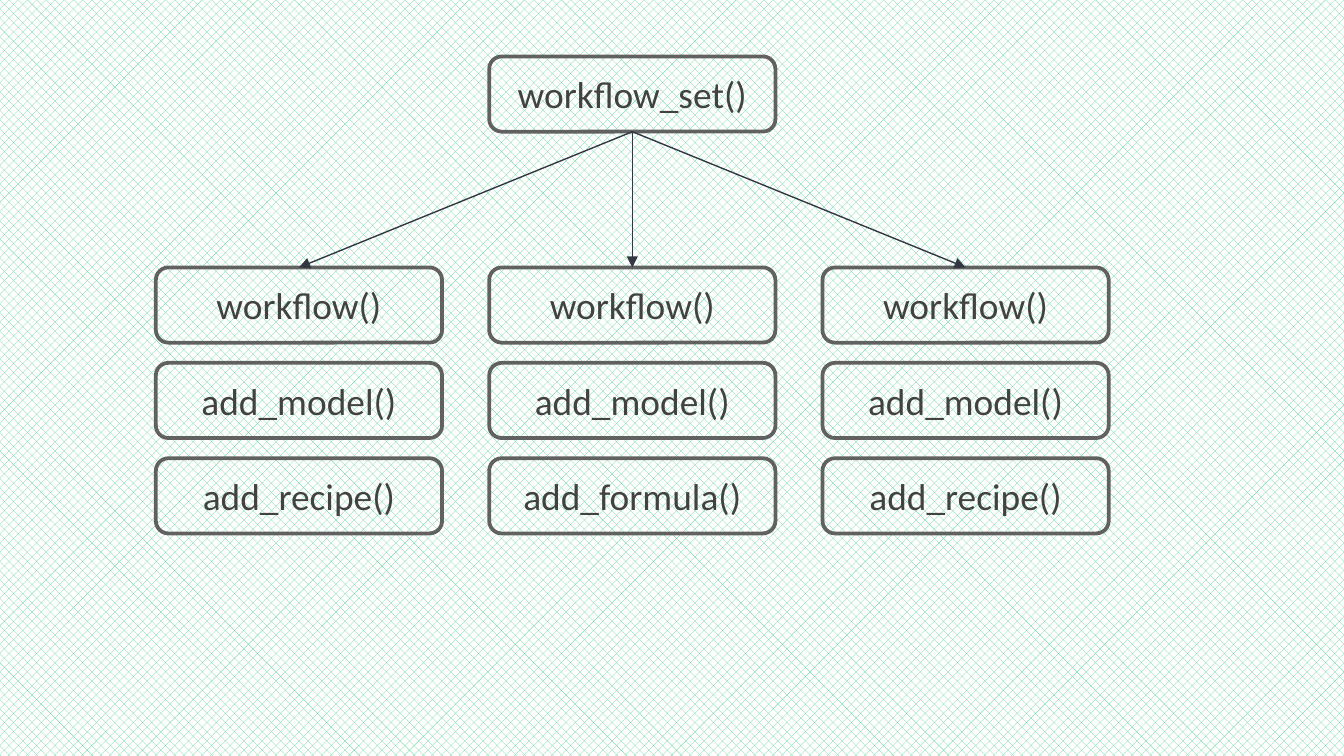
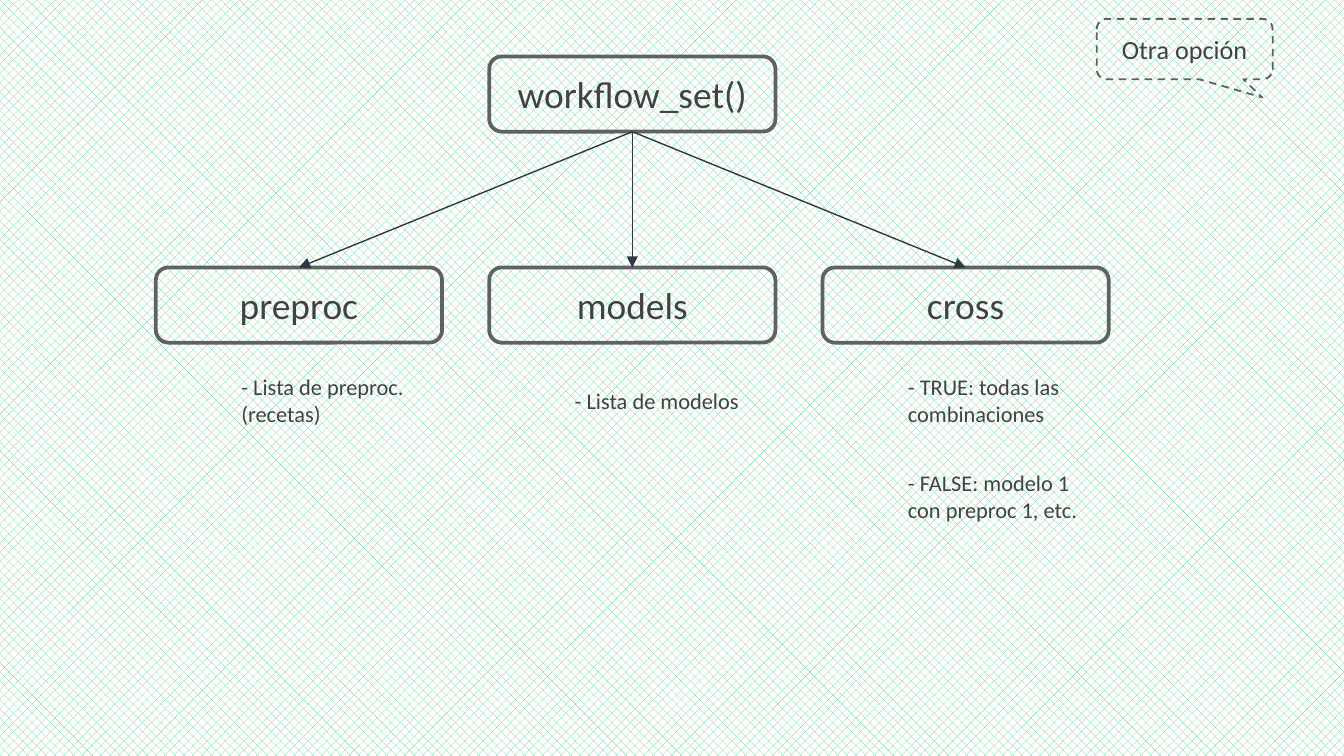
from dataclasses import dataclass

from lxml import etree
from pptx import Presentation
from pptx.dml.color import RGBColor
from pptx.enum.dml import MSO_LINE, MSO_PATTERN
from pptx.enum.shapes import MSO_CONNECTOR, MSO_SHAPE
from pptx.enum.text import MSO_ANCHOR, PP_ALIGN
from pptx.oxml.ns import qn
from pptx.util import Inches, Pt

ROUNDED = MSO_SHAPE.ROUNDED_RECTANGLE
CALLOUT = MSO_SHAPE.ROUNDED_RECTANGULAR_CALLOUT
STRAIGHT = MSO_CONNECTOR.STRAIGHT
HATCH = MSO_PATTERN.PERCENT_50
DASH = MSO_LINE.DASH
CENTER = PP_ALIGN.CENTER
LEFT = PP_ALIGN.LEFT
MIDDLE = MSO_ANCHOR.MIDDLE
TOP_SITE, BOTTOM_SITE = 0, 2
BLANK_LAYOUT = 6


@dataclass(frozen=True)
class Theme:
    font: str = "Calibri"
    text: RGBColor = RGBColor(0x42, 0x42, 0x42)
    border: RGBColor = RGBColor(0x61, 0x61, 0x61)
    arrow: RGBColor = RGBColor(0x33, 0x36, 0x43)
    hatch: RGBColor = RGBColor(0x63, 0xD2, 0x97)
    paper: RGBColor = RGBColor(0xFF, 0xFF, 0xFF)
    box_size: int = 20
    callout_size: int = 14
    note_size: int = 12
    box_line: float = 2
    callout_line: float = 1
    arrow_line: float = 0.75


THEME = Theme()
SLIDE_WIDTH = Inches(10)
SLIDE_HEIGHT = SLIDE_WIDTH * 9 // 16
BOX_WIDTH, BOX_HEIGHT = 2.13, 0.56
COLUMN_LEFT, COLUMN_STEP = 1.16, 2.48
ROW_TOP, ROW_STEP = 1.99, 0.71
ROOT_TOP = 0.42
NOTE_INDENT = 0.51

WORKFLOW_COLUMNS = [
    ["workflow()", "add_model()", "add_recipe()"],
    ["workflow()", "add_model()", "add_formula()"],
    ["workflow()", "add_model()", "add_recipe()"],
]
ARGUMENT_COLUMNS = [
    ("preproc", ["- Lista de preproc. (recetas)"]),
    ("models", ["- Lista de modelos"]),
    ("cross", ["- TRUE: todas las combinaciones",
               "- FALSE: modelo 1 con preproc 1, etc."]),
]


def set_attributes(target, values):
    for name, value in values.items():
        setattr(target, name, value)


def column_left(column):
    return COLUMN_LEFT + column * COLUMN_STEP


def row_top(row):
    return ROW_TOP + row * ROW_STEP


def add_slide(presentation):
    slide = presentation.slides.add_slide(presentation.slide_layouts[BLANK_LAYOUT])
    fill = slide.background.fill
    fill.patterned()
    fill.pattern = HATCH
    fill.fore_color.rgb = THEME.hatch
    fill.back_color.rgb = THEME.paper
    return slide


def add_label(slide, kind, bounds, text, size, line_width=None, alignment=CENTER):
    shape = slide.shapes.add_shape(kind, *map(Inches, bounds))
    shape.shadow.inherit = False
    shape.fill.background()
    if line_width is None:
        shape.line.fill.background()
    else:
        shape.line.color.rgb = THEME.border
        shape.line.width = Pt(line_width)
    margin = Inches(0.1)
    set_attributes(shape.text_frame, {
        "word_wrap": True, "vertical_anchor": MIDDLE,
        "margin_left": margin, "margin_right": margin,
        "margin_top": margin, "margin_bottom": margin,
    })
    paragraph = shape.text_frame.paragraphs[0]
    paragraph.alignment = alignment
    run = paragraph.add_run()
    run.text = text
    set_attributes(run.font, {"name": THEME.font, "size": Pt(size)})
    run.font.color.rgb = THEME.text
    return shape


def add_box(slide, column, top, text):
    bounds = (column_left(column), top, BOX_WIDTH, BOX_HEIGHT)
    return add_label(slide, ROUNDED, bounds, text, THEME.box_size, THEME.box_line)


def add_note(slide, column, row, text):
    bounds = (column_left(column) + NOTE_INDENT, row_top(row),
              BOX_WIDTH - NOTE_INDENT, BOX_HEIGHT)
    add_label(slide, ROUNDED, bounds, text, THEME.note_size, alignment=LEFT)


def add_arrow(slide, parent, child):
    connector = slide.shapes.add_connector(STRAIGHT, 0, 0, 0, 0)
    connector.begin_connect(parent, BOTTOM_SITE)
    connector.end_connect(child, TOP_SITE)
    connector.line.color.rgb = THEME.arrow
    connector.line.width = Pt(THEME.arrow_line)
    properties = connector.element.spPr
    etree.SubElement(properties.find(qn("a:ln")), qn("a:tailEnd"), type="triangle")
    etree.SubElement(properties, qn("a:effectLst"))


def add_tree(slide, names):
    root = add_box(slide, 1, ROOT_TOP, "workflow_set()")
    children = [add_box(slide, column, row_top(0), name)
                for column, name in enumerate(names)]
    for child in children:
        add_arrow(slide, root, child)


def add_callout(slide, text):
    callout = add_label(slide, CALLOUT, (8.16, 0.14, 1.31, 0.45), text,
                        THEME.callout_size, THEME.callout_line)
    callout.line.dash_style = DASH
    for index, value in enumerate((0.44, 0.8, 0.17)):
        callout.adjustments[index] = value


def build_workflow_slide(presentation):
    slide = add_slide(presentation)
    add_tree(slide, [steps[0] for steps in WORKFLOW_COLUMNS])
    for column, steps in enumerate(WORKFLOW_COLUMNS):
        for row, step in enumerate(steps[1:], start=1):
            add_box(slide, column, row_top(row), step)


def build_argument_slide(presentation):
    slide = add_slide(presentation)
    add_tree(slide, [name for name, notes in ARGUMENT_COLUMNS])
    for column, (name, notes) in enumerate(ARGUMENT_COLUMNS):
        for row, note in enumerate(notes, start=1):
            add_note(slide, column, row, note)
    add_callout(slide, "Otra opción")


def main():
    presentation = Presentation()
    presentation.slide_width = SLIDE_WIDTH
    presentation.slide_height = SLIDE_HEIGHT
    build_workflow_slide(presentation)
    build_argument_slide(presentation)
    presentation.save("out.pptx")


if __name__ == "__main__":
    main()
